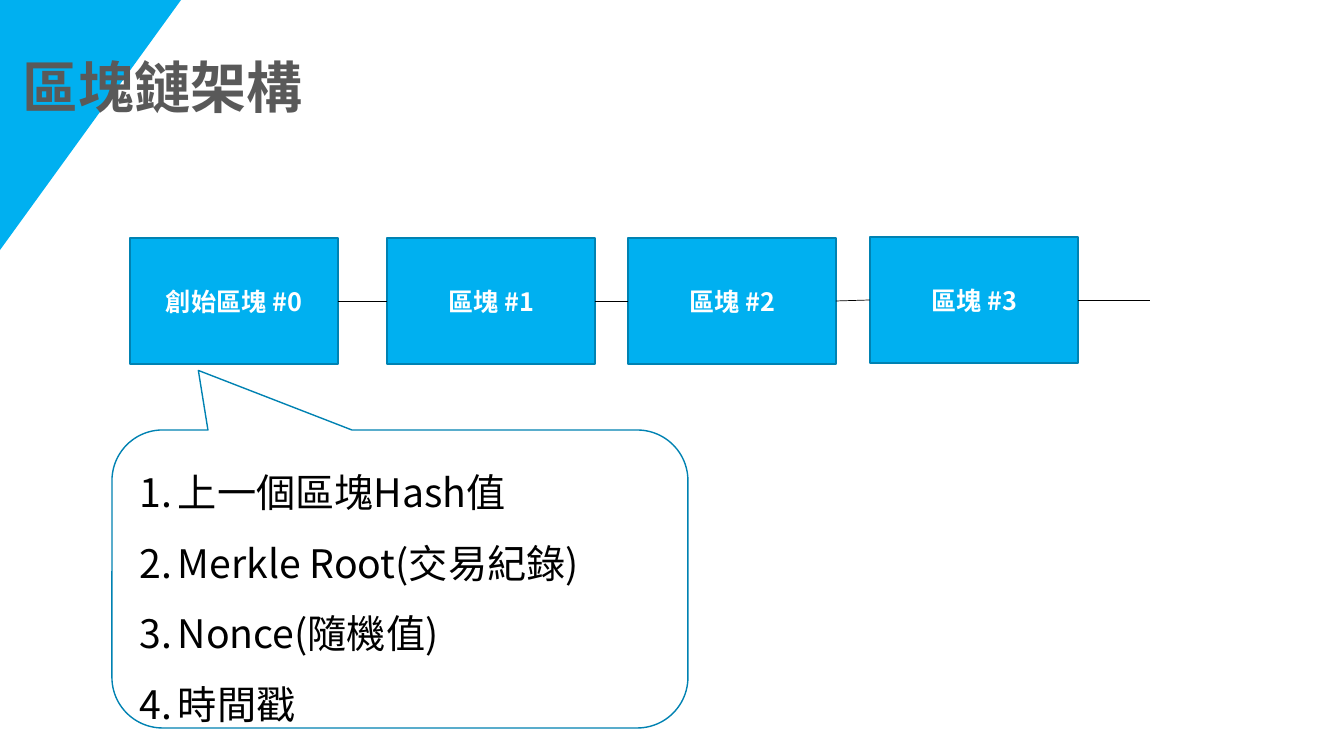
import pptx
import pptx.util
import pptx.dml.color
import pptx.enum.shapes
import pptx.enum.text
import pptx.oxml.ns
import lxml.etree

RGBColor = pptx.dml.color.RGBColor
SKY = RGBColor(0x00, 0xB0, 0xF0)
EDGE = RGBColor(0x00, 0x82, 0xB2)
GRAY = RGBColor(0x59, 0x59, 0x59)
BLACK = RGBColor(0x00, 0x00, 0x00)
WHITE = RGBColor(0xFF, 0xFF, 0xFF)
BODY_FONT = "Noto Sans CJK JP"
TITLE_FONT = "TeX Gyre Adventor"
SHAPES = pptx.enum.shapes.MSO_SHAPE
ANCHOR = pptx.enum.text.MSO_ANCHOR
ALIGN = pptx.enum.text.PP_ALIGN
qn = pptx.oxml.ns.qn


def px(length):
    return pptx.util.Emu(round(length * 914400 / 100.8))


def set_font(paragraph, name, size, color, bold=False):
    font = paragraph.font
    font.size = pptx.util.Pt(size)
    font.bold = bold
    font.color.rgb = color
    font.name = name
    properties = paragraph._p.pPr.find(qn("a:defRPr"))
    lxml.etree.SubElement(properties, qn("a:ea"), typeface=BODY_FONT)


presentation = pptx.Presentation()
presentation.slide_width = px(1344)
presentation.slide_height = px(756)
slide = presentation.slides.add_slide(presentation.slide_layouts[6])
shapes = slide.shapes

block_width, block_height = 208, 126
blocks = [
    ("創始區塊 #0", 130, 238),
    ("區塊 #1", 387, 238),
    ("區塊 #2", 628, 238),
    ("區塊 #3", 870, 237),
]
for label, left, top in blocks:
    block = shapes.add_shape(SHAPES.RECTANGLE, px(left), px(top), px(block_width), px(block_height))
    block.shadow.inherit = False
    block.fill.solid()
    block.fill.fore_color.rgb = SKY
    block.line.color.rgb = EDGE
    block.line.width = pptx.util.Pt(1)
    block.text_frame.vertical_anchor = ANCHOR.MIDDLE
    paragraph = block.text_frame.paragraphs[0]
    paragraph.text = label
    paragraph.alignment = ALIGN.CENTER
    set_font(paragraph, BODY_FONT, 18, WHITE, True)

corner = shapes.add_shape(SHAPES.ISOSCELES_TRIANGLE, 0, 0, px(181), px(250))
corner.adjustments[0] = 1
corner.rotation = 180
corner.shadow.inherit = False
corner.fill.solid()
corner.fill.fore_color.rgb = SKY
corner.line.fill.background()

title = shapes.add_textbox(px(13), px(43), px(337), px(80))
title.text_frame.word_wrap = True
title.text_frame.vertical_anchor = ANCHOR.MIDDLE
paragraph = title.text_frame.paragraphs[0]
paragraph.text = "區塊鏈架構"
paragraph.line_spacing = 1.1
set_font(paragraph, TITLE_FONT, 40, GRAY, True)

chain_ends = [(left, top + block_height // 2) for label, left, top in blocks[1:]] + [(1150, 300)]
for (label, left, top), (end_x, end_y) in zip(blocks, chain_ends):
    link = shapes.add_connector(
        pptx.enum.shapes.MSO_CONNECTOR.STRAIGHT,
        px(left + block_width), px(top + block_height // 2), px(end_x), px(end_y))
    link.line.color.rgb = BLACK
    link.line.width = pptx.util.Pt(0.5)
    lxml.etree.SubElement(link._element.spPr, qn("a:effectLst"))

callout = shapes.add_shape(SHAPES.ROUNDED_RECTANGULAR_CALLOUT, px(112), px(430), px(576), px(298))
for index, value in enumerate((-0.35, -0.7, 0.17)):
    callout.adjustments[index] = value
callout.shadow.inherit = False
callout.fill.background()
callout.line.color.rgb = EDGE
callout.line.width = pptx.util.Pt(1)

contents = shapes.add_textbox(px(130), px(440), px(526), px(288))
frame = contents.text_frame
frame.word_wrap = True
frame.text = "上一個區塊Hash值\nMerkle Root(交易紀錄)\nNonce(隨機值)\n時間戳"
for paragraph in frame.paragraphs:
    paragraph.line_spacing = 1.5
    set_font(paragraph, BODY_FONT, 28, BLACK)
    properties = paragraph._p.pPr
    properties.set("marL", str(px(38)))
    properties.set("indent", str(-px(38)))
    numbering = lxml.etree.Element(qn("a:buAutoNum"), type="arabicPeriod")
    properties.find(qn("a:defRPr")).addprevious(numbering)

presentation.save("out.pptx")
